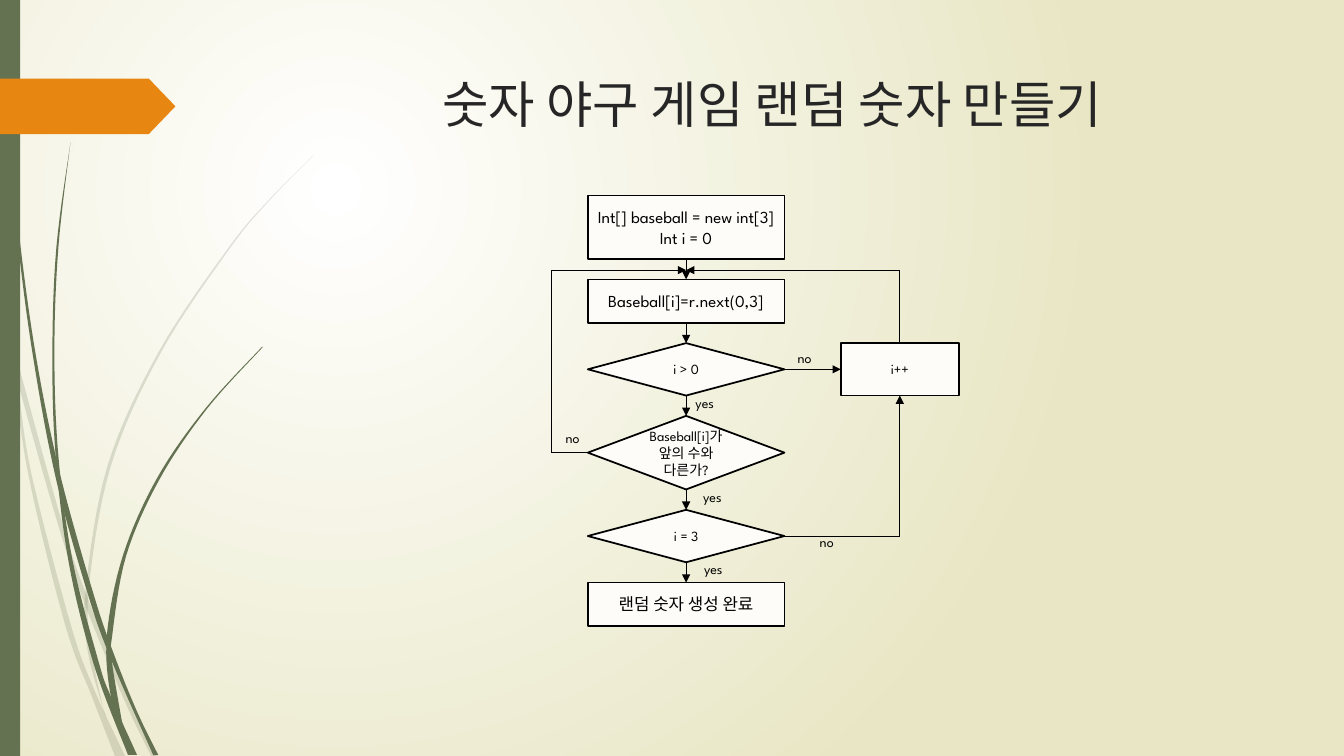
import itertools
import pptx
import pptx.dml.color
import pptx.enum.shapes
import pptx.enum.text
import pptx.oxml
import pptx.oxml.ns
import pptx.util

SHAPE = pptx.enum.shapes.MSO_SHAPE
ANCHOR = pptx.enum.text.MSO_ANCHOR
ROWS = 75
GREEN, ORANGE, PAPER, INK = "647252", "E78712", "FDFCF9", "000000"


def tint(code):
    """Turn a hex string into a colour."""
    return pptx.dml.color.RGBColor.from_string(code)


def node(xml):
    """Make one drawing element from its markup."""
    names = pptx.oxml.ns.nsdecls("a")
    return pptx.oxml.parse_xml(f"<a:wrap {names}>{xml}</a:wrap>")[0]


def curve(dots, steps=8):
    """Sample a smooth curve that passes through all dots."""
    ends = [dots[0], *dots, dots[-1]]
    out = []
    for a, b, c, d in zip(ends, ends[1:], ends[2:], ends[3:]):
        for t in (n / steps for n in range(steps)):
            out.append(tuple(
                (2 * q + (r - p) * t + (2 * p - 5 * q + 4 * r - s) * t ** 2
                 + (3 * q - p - 3 * r + s) * t ** 3) / 2
                for p, q, r, s in zip(a, b, c, d)))
    return out + [dots[-1]]


class Deck:
    """Style and current slide; lengths are cells of a 75-row grid."""
    font = "League Spartan"

    def __init__(self):
        """Start a wide deck with one title slide."""
        self.prs = pptx.Presentation()
        self.prs.slide_width = pptx.util.Inches(13.33)
        self.prs.slide_height = pptx.util.Inches(7.5)
        self.cell = self.prs.slide_height / ROWS
        self.slide = self.prs.slides.add_slide(self.prs.slide_layouts[5])
        self.art = self.slide.shapes

    def grid(self, *cells):
        """Turn grid cells into lengths."""
        return [round(n * self.cell) for n in cells]

    def back(self, inner, outer):
        """Fill the background with a round gradient."""
        fill = self.slide.background.fill
        fill.gradient()
        for stop, code, spot in zip(fill.gradient_stops, (inner, outer), (0, 1)):
            stop.color.rgb = tint(code)
            stop.position = spot
        lin = self.slide.element.find(".//" + pptx.oxml.ns.qn("a:lin"))
        lin.getparent().replace(lin, node(
            '<a:path path="circle"><a:fillToRect l="50000" t="50000" '
            'r="100000" b="100000"/></a:path>'))

    def text(self, shape, lines, size, code=INK, anchor=ANCHOR.MIDDLE):
        """Put centred lines of text in a shape."""
        frame = shape.text_frame
        frame.word_wrap = True
        frame.auto_size = pptx.enum.text.MSO_AUTO_SIZE.NONE
        frame.vertical_anchor = anchor
        for n, line in enumerate(lines):
            para = frame.add_paragraph() if n else frame.paragraphs[0]
            para.alignment = pptx.enum.text.PP_ALIGN.CENTER
            run = para.add_run()
            run.text = line
            run.font.size = pptx.util.Pt(size)
            run.font.name = self.font
            run.font.color.rgb = tint(code)

    def title(self, words, box):
        """Move and fill the title placeholder."""
        head = self.art.title
        head.left, head.top, head.width, head.height = self.grid(*box)
        self.text(head, [words], 36, "262626", ANCHOR.TOP)

    def paint(self, shape, code, edge=None):
        """Give a shape a flat fill and maybe an outline."""
        shape.shadow.inherit = False
        shape.fill.solid()
        shape.fill.fore_color.rgb = tint(code)
        if edge:
            shape.line.color.rgb = tint(edge)
            shape.line.width = pptx.util.Pt(1.25)
        else:
            shape.line.fill.background()
        return shape

    def block(self, kind, box, code, edge=None):
        """Add a preset shape."""
        return self.paint(self.art.add_shape(kind, *self.grid(*box)), code, edge)

    def step(self, kind, box, lines, size):
        """Add a flowchart step."""
        self.text(self.block(kind, box, PAPER, INK), lines, size)

    def label(self, words, box):
        """Add a small branch label."""
        note = self.art.add_textbox(*self.grid(*box))
        frame = note.text_frame
        frame.margin_left = frame.margin_right = 0
        self.text(note, [words], 10)

    def wire(self, *dots):
        """Join dots by straight lines, with an arrow at the last."""
        for a, b in itertools.pairwise(dots):
            wire = self.art.add_connector(
                pptx.enum.shapes.MSO_CONNECTOR.STRAIGHT, *self.grid(*a, *b))
            wire.line.color.rgb = tint(INK)
            wire.line.width = pptx.util.Pt(0.75)
            props = wire._element.spPr
            if b == dots[-1]:
                props.find(pptx.oxml.ns.qn("a:ln")).append(
                    node('<a:tailEnd type="triangle"/>'))
            props.append(node("<a:effectLst/>"))

    def blade(self, down, up, alpha):
        """Add a grass blade between two curved edges."""
        dots = [self.grid(*dot) for dot in curve(down) + curve(up)]
        pen = self.art.build_freeform(*dots[0])
        pen.add_line_segments(dots[1:], close=True)
        leaf = self.paint(pen.convert_to_shape(), GREEN)
        if alpha < 100:
            hue = leaf._element.spPr.find(".//" + pptx.oxml.ns.qn("a:srgbClr"))
            hue.append(node(f'<a:alpha val="{alpha * 1000}"/>'))


PALE = [
    ([(0, 28.2), (1.4, 34.5), (6.2, 52), (8.8, 59.6), (12.7, 69.2), (15.5, 75)],
     [(15, 75), (12.3, 69.4), (8.4, 59.9), (5.8, 52.2), (1.7, 37.6), (0, 29.9)]),
    ([(1.1, 35), (1.7, 37.6), (3.1, 46.9), (7, 61.9), (9.3, 68.3), (12.4, 75)],
     [(11.4, 75), (9.2, 69.3), (6.5, 62.1), (2.8, 47), (1.1, 35)]),
    ([(31.2, 15.3), (26.8, 19.7), (22.8, 24.4), (15.8, 34.8), (10.7, 46.1),
      (8.5, 58.4), (8.7, 64.6), (10.5, 71.1)],
     [(10.3, 70.6), (9.1, 64.6), (8.8, 58.4), (11, 46.2), (16, 34.9),
      (22.9, 24.5), (26.8, 19.8), (31.2, 15.3)]),
]
DARK = [
    ([(0.3, 0), (0.7, 11), (1.7, 23.3), (3.3, 35.5), (5.6, 47.7), (8.8, 59.2),
      (11.1, 65.6), (15.2, 74.9)],
     [(15.7, 74.9), (13.6, 70.6), (11.3, 64.9), (9.3, 59), (6, 47.2),
      (3.6, 35.5), (1.9, 23.2), (0.8, 10.9), (0.4, 0)]),
    ([(7, 14.1), (5.6, 24.5), (5.2, 34.9), (5.5, 44.9), (6.8, 55.7),
      (9.3, 65.9), (12.7, 74.9)],
     [(13.6, 74.9), (11, 69.1), (9.8, 65.7), (7.2, 55.6), (5.8, 45.3),
      (5.4, 34.9), (5.8, 24.5), (7, 14.1)]),
    ([(26, 34.4), (20.4, 40.5), (15.6, 47.4), (12.2, 55.1), (10.6, 63.1),
      (11, 69.1), (12.2, 71.9)],
     [(12.1, 71.6), (11.1, 65.6), (11.1, 63.3), (12.5, 55.2), (15.8, 47.6),
      (20.5, 40.6), (26.1, 34.4)]),
]
BOX, GEM = SHAPE.RECTANGLE, SHAPE.DIAMOND
STEPS = [
    (BOX, 6.3, 12, ["Int[] baseball = new int[3]", "Int i = 0"]),
    (BOX, 4.3, 12, ["Baseball[i]=r.next(0,3]"]),
    (GEM, 5.2, 10, ["i > 0"]),
    (GEM, 7.3, 10, ["Baseball[i]가 앞의 수와 다른가?"]),
    (GEM, 5.2, 10, ["i = 3"]),
    (BOX, 4.3, 12, ["랜덤 숫자 생성 완료"]),
]
LABELS = [
    ("yes", (67.7, 38.7, 4.4, 2.5)), ("yes", (67.9, 48.1, 5.5, 2.4)),
    ("yes", (68.1, 55.5, 5.3, 1.9)), ("no", (77.8, 34.4, 4, 2.3)),
    ("no", (54.8, 42.3, 4, 2.3)), ("no", (80, 52.6, 4, 2.3)),
]

deck = Deck()
deck.back("FFFFFF", "E8E6C4")
for blades, alpha in ((PALE, 20), (DARK, 100)):
    for down, up in blades:
        deck.blade(down, up, alpha)
deck.block(BOX, (0, 0, 2, ROWS), GREEN)
tag = deck.block(SHAPE.PENTAGON, (0, 7.8, 17.4, 5.5), ORANGE)
tag.adjustments[0] = 0.48
deck.title("숫자 야구 게임 랜덤 숫자 만들기 ", (28.4, 6.8, 97.5, 14))

LEFT, WIDE, GAP = 58.3, 19.5, 2.02
MID, RIGHT = LEFT + WIDE / 2, LEFT + WIDE
top, mids = 19.4, []
for kind, tall, size, lines in STEPS:
    if mids:
        deck.wire((MID, top - GAP), (MID, top))
    deck.step(kind, (LEFT, top, WIDE, tall), lines, size)
    mids.append(top + tall / 2)
    top += tall + GAP

SIDE, SPAN, TALL = 83.4, 11.7, 5.2
LOOP, HUB, JOIN = 54.7, SIDE + SPAN / 2, 26.8
first, other, last = mids[2:5]
deck.step(BOX, (SIDE, first - TALL / 2, SPAN, TALL), ["i++"], 10)
deck.wire((RIGHT, last), (HUB, last), (HUB, first + TALL / 2))
deck.wire((LEFT, other), (LOOP, other), (LOOP, JOIN), (MID, JOIN))
deck.wire((RIGHT, first), (SIDE, first))
deck.wire((HUB, first - TALL / 2), (HUB, JOIN), (MID, JOIN))
for words, box in LABELS:
    deck.label(words, box)

deck.prs.save("out.pptx")
